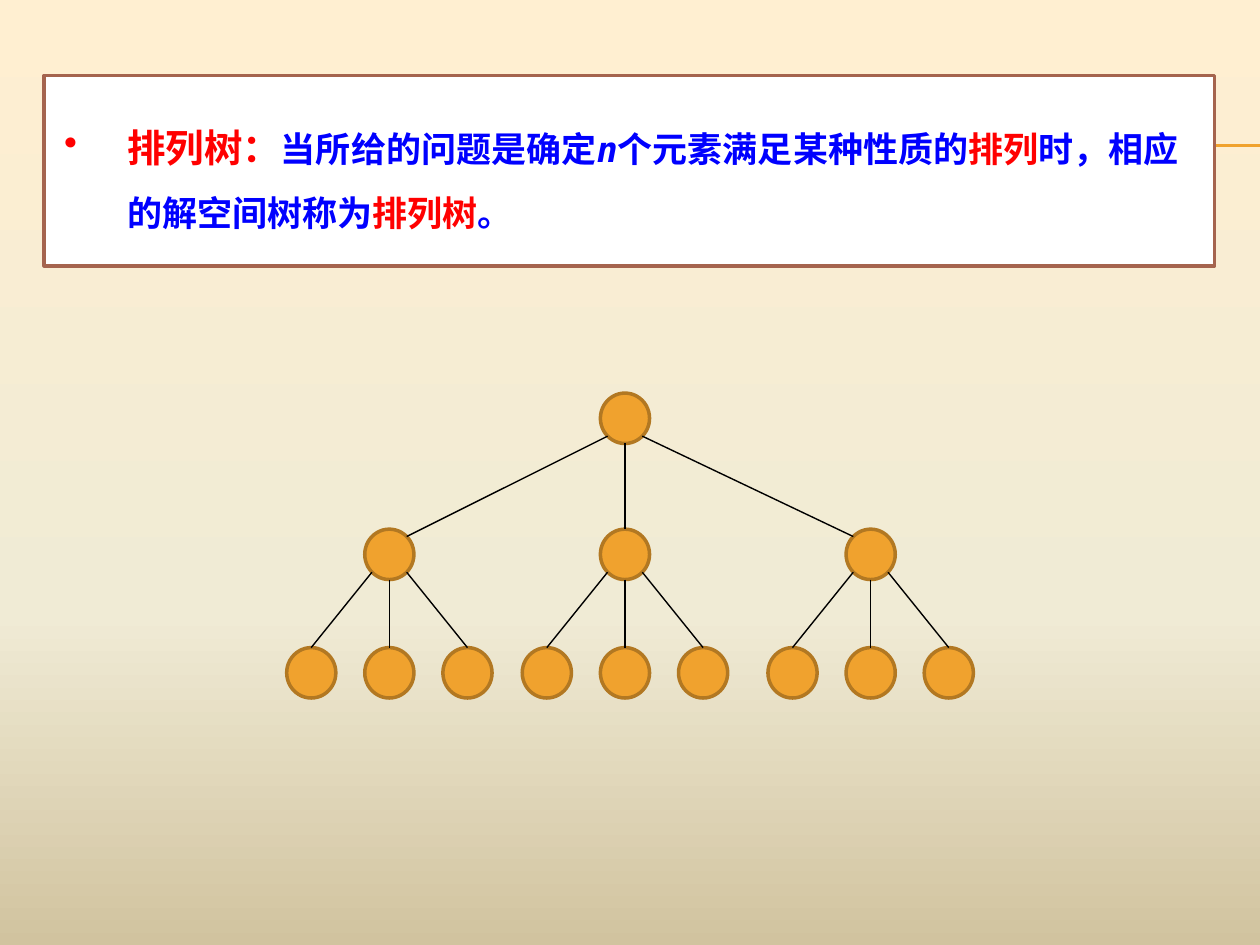
import copy
import pptx
import pptx.util
import pptx.dml.color
import pptx.enum.shapes
import pptx.enum.text
import pptx.oxml.ns
import pptx.oxml.xmlchemy

Inches, Pt = pptx.util.Inches, pptx.util.Pt
qn = pptx.oxml.ns.qn
make = pptx.oxml.xmlchemy.OxmlElement

THEME = {
    "red": "FF0000", "blue": "0000FF", "white": "FFFFFF", "black": "000000",
    "gold": "F0A22E", "rim": "B27822", "brown": "A5644E",
    "back": [(0, "FFEFD1"), (0.65, "F0EBD5"), (1, "D1C39F")],
    "head": 22, "body": 20, "thick": 2, "rule": 0.75, "edge": 0.79,
    "latin": "DejaVu Sans Mono", "asian": "Noto Sans CJK SC",
}

# text, size, colour, italic
TEXT = [
    ("排列树：", "head", "red", False),
    ("当所给的问题是确定", "body", "blue", False),
    ("n", "body", "blue", True),
    ("个元素满足某种性质的", "body", "blue", False),
    ("排列", "body", "red", False),
    ("时，相应的解空间树称为", "body", "blue", False),
    ("排列树", "body", "red", False),
    ("。", "body", "blue", False),
]
BOX = (0.35, 0.6, 9.29, 1.51)
RULES = [1.15, 1.16]

# Tree: centres across, tops down
ROOT = 4.96
MIDS = [3.09, 4.96, 6.91]
STEPS = [-0.62, 0, 0.62]
TOPS = [3.12, 4.2, 5.14]
WIDE, HIGH = 0.39, 0.4
DIAG = 0.5 ** 0.5


def color(name):
    return pptx.dml.color.RGBColor.from_string(THEME.get(name, name))


def paint(slide):
    """Fill the background with the theme's gradient, top to bottom."""
    fill = slide.background.fill
    fill.gradient()
    fill.gradient_angle = 270
    stops = next(slide._element.iter(qn("a:gsLst")))
    stops.append(copy.deepcopy(stops[0]))
    for stop, (pos, tint) in zip(fill.gradient_stops, THEME["back"]):
        stop.position = pos
        stop.color.rgb = color(tint)


def add_line(slide, start, end, tint, width):
    kind = pptx.enum.shapes.MSO_CONNECTOR.STRAIGHT
    line = slide.shapes.add_connector(kind, *map(Inches, start + end))
    line.line.color.rgb = color(tint)
    line.line.width = Pt(THEME[width])
    line._element.spPr.append(make("a:effectLst"))


def add_form(slide, kind, place, fill, rim):
    form = slide.shapes.add_shape(kind, *map(Inches, place))
    form.shadow.inherit = False
    form.fill.solid()
    form.fill.fore_color.rgb = color(fill)
    form.line.color.rgb = color(rim)
    form.line.width = Pt(THEME["thick"])
    return form


def add_text(slide):
    kind = pptx.enum.shapes.MSO_SHAPE.RECTANGLE
    frame = add_form(slide, kind, BOX, "white", "brown").text_frame
    layout = {
        "word_wrap": True,
        "vertical_anchor": pptx.enum.text.MSO_ANCHOR.TOP,
        "margin_left": Inches(0.16), "margin_right": Inches(0.16),
        "margin_top": Inches(0.2), "margin_bottom": Inches(0.2),
    }
    for key, value in layout.items():
        setattr(frame, key, value)
    para = frame.paragraphs[0]
    para.alignment = pptx.enum.text.PP_ALIGN.LEFT
    para.line_spacing = 1.5
    props = para._p.get_or_add_pPr()
    props.set("marL", str(Inches(0.5)))
    props.set("indent", str(-Inches(0.5)))
    dot = make("a:buChar")
    dot.set("char", "•")
    props.append(dot)
    for words, size, tint, slant in TEXT:
        run = para.add_run()
        run.text = words
        style = {"name": THEME["latin"], "size": Pt(THEME[size]),
                 "bold": True, "italic": slant}
        for key, value in style.items():
            setattr(run.font, key, value)
        run.font.color.rgb = color(tint)
        asian = make("a:ea")
        asian.set("typeface", THEME["asian"])
        run._r.get_or_add_rPr().append(asian)


def add_node(slide, mid, top):
    kind = pptx.enum.shapes.MSO_SHAPE.OVAL
    add_form(slide, kind, (mid - WIDE / 2, top, WIDE, HIGH), "gold", "rim")


def rim_point(mid, top, side, down):
    """Point on a node's rim; side and down run from -1 to 1."""
    return (mid + side * WIDE / 2, top + HIGH / 2 + down * HIGH / 2)


def add_edges(slide, mid, row, kids, corner):
    """Join a node to its three kids, at their tops or near corners."""
    for side, kid in zip((-1, 0, 1), kids):
        slope = DIAG if side else 1
        start = rim_point(mid, TOPS[row], side * DIAG, slope)
        if corner:
            end = rim_point(kid, TOPS[row + 1], -side * DIAG, -slope)
        else:
            end = rim_point(kid, TOPS[row + 1], 0, -1)
        add_line(slide, start, end, "black", "edge")


def add_tree(slide):
    add_node(slide, ROOT, TOPS[0])
    for mid in MIDS:
        kids = [mid + step for step in STEPS]
        add_node(slide, mid, TOPS[1])
        for kid in kids:
            add_node(slide, kid, TOPS[2])
        add_edges(slide, mid, 1, kids, False)
    add_edges(slide, ROOT, 0, MIDS, True)


def main():
    deck = pptx.Presentation()
    deck.slide_width, deck.slide_height = Inches(10), Inches(7.5)
    slide = deck.slides.add_slide(deck.slide_layouts[6])
    paint(slide)
    for y in RULES:
        add_line(slide, (0.56, y), (10, y), "gold", "rule")
    add_text(slide)
    add_tree(slide)
    deck.save("out.pptx")


if __name__ == "__main__":
    main()
